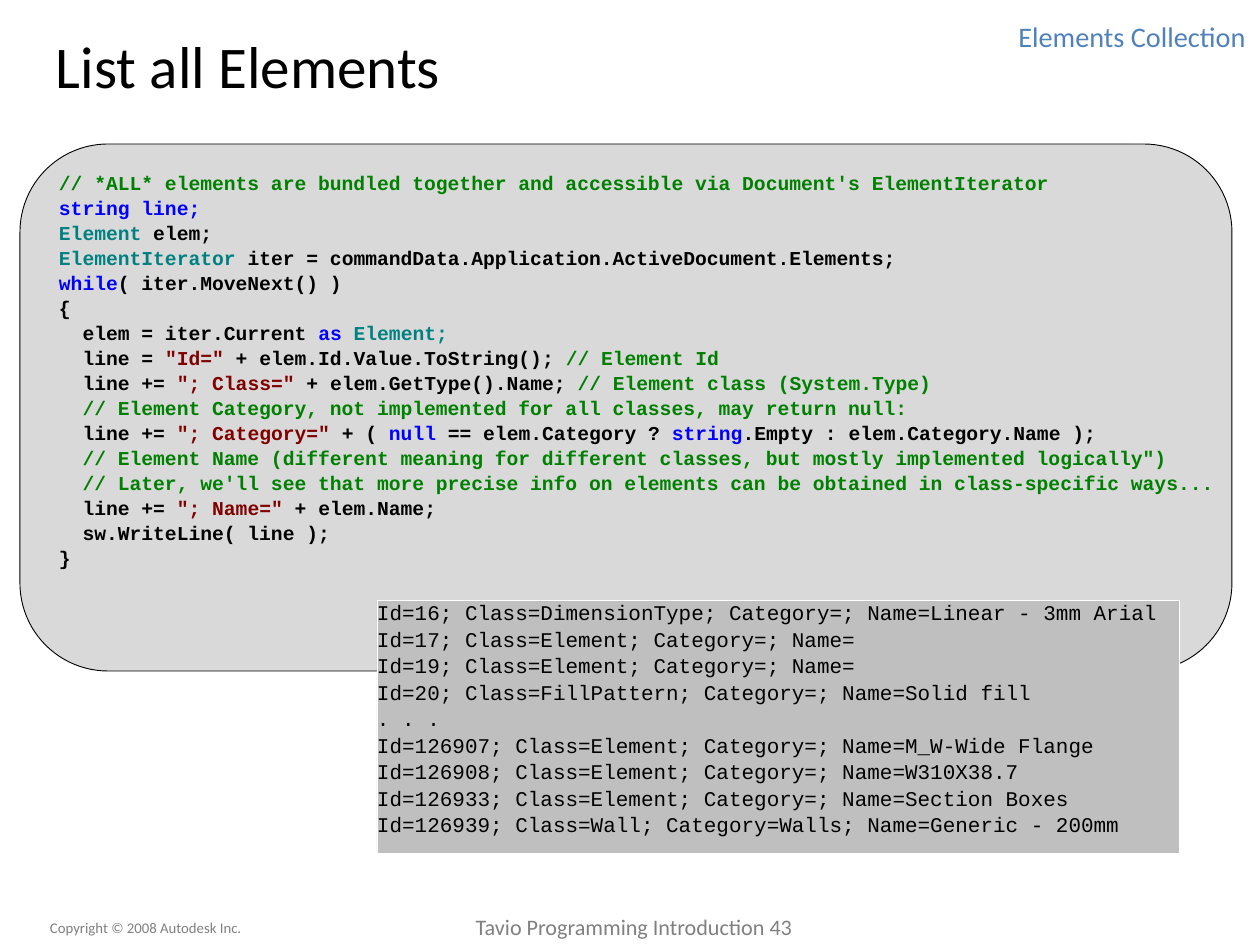
from pptx import Presentation
from pptx.dml.color import RGBColor
from pptx.enum.shapes import MSO_SHAPE
from pptx.enum.text import MSO_ANCHOR, MSO_AUTO_SIZE, PP_ALIGN
from pptx.util import Pt

PX = 10320  # EMU per px
ROUND, RECT = MSO_SHAPE.ROUNDED_RECTANGLE, MSO_SHAPE.RECTANGLE
TOP, MIDDLE = MSO_ANCHOR.TOP, MSO_ANCHOR.MIDDLE
LEFT, CENTER, RIGHT = PP_ALIGN.LEFT, PP_ALIGN.CENTER, PP_ALIGN.RIGHT
FIXED = MSO_AUTO_SIZE.NONE

THEME = {
    "sans": "Calibri", "mono": "Courier New",
    "title": 48, "topic": 23, "code": 16, "output": 17, "footer": 18, "legal": 12,
    "black": "000000", "white": "FFFFFF", "gray": "808080", "accent": "4F81BD",
    "panel": "D9D9D9", "result": "BFBFBF",
    "note": "008000", "key": "0000FF", "type": "008080", "text": "800000",
}


def color(name):
    return RGBColor.from_string(THEME[name])


def write(shape, lines, size, font="sans", align=LEFT, inset=(0, 0), bold=False,
          gap=0, anchor=TOP):
    """Fill a shape with lines, each a list of (color, text) runs."""
    frame = shape.text_frame
    frame.word_wrap, frame.auto_size, frame.vertical_anchor = True, FIXED, anchor
    frame.margin_left = frame.margin_right = inset[0] * PX
    frame.margin_top = frame.margin_bottom = inset[1] * PX
    for row, line in enumerate(lines):
        para = frame.add_paragraph() if row else frame.paragraphs[0]
        para.alignment = align
        if row:
            para.space_before = Pt(gap)
        for tint, text in line:
            run = para.add_run()
            run.text = text
            run.font.name, run.font.size = THEME[font], Pt(THEME[size])
            run.font.bold = bold
            run.font.color.rgb = color(tint)


deck = Presentation()
deck.slide_width, deck.slide_height = 1260 * PX, 945 * PX
slide = deck.slides.add_slide(deck.slide_layouts[5])
shapes = slide.shapes

# Title
title = shapes.title
title.left, title.top, title.width, title.height = [n * PX for n in (44, 19, 1092, 101)]
write(title, [[("black", "List all Elements")]], "title", inset=(12, 6), anchor=MIDDLE)
title.text_frame.paragraphs[0].line_spacing = 0.9

# Topic and footers
labels = [
    ((968, 19, 278, 35), "Elements Collection", "topic", "accent", RIGHT, (0, 0)),
    ((443, 909, 382, 36), "Tavio Programming Introduction 43", "footer", "gray", CENTER, (9, 4)),
    ((41, 915, 237, 27), "Copyright © 2008 Autodesk Inc.", "legal", "gray", LEFT, (9, 4)),
]
for place, text, size, tint, align, inset in labels:
    label = shapes.add_textbox(*[n * PX for n in place])
    write(label, [[(tint, text)]], size, align=align, inset=inset)

# Code panel and result box
panels = []
for kind, place, fill, edge in [
    (ROUND, (20, 144, 1212, 527), "panel", "black"),
    (RECT, (377, 600, 802, 253), "result", "white"),
]:
    panel = shapes.add_shape(kind, *[n * PX for n in place])
    panel.shadow.inherit = False
    panel.fill.solid()
    panel.fill.fore_color.rgb = color(fill)
    panel.line.color.rgb = color(edge)
    panel.line.width = Pt(0.75)
    panels.append(panel)
panels[0].adjustments[0] = 0.167

# Code listing
code = [
    [("note", "// *ALL* elements are bundled together and accessible via Document's ElementIterator")],
    [("key", "string line;")],
    [("type", "Element"), ("black", " elem;")],
    [("type", "ElementIterator"),
     ("black", " iter = commandData.Application.ActiveDocument.Elements;")],
    [("key", "while"), ("black", "( iter.MoveNext() )")],
    [("black", "{")],
    [("black", "  elem = iter.Current "), ("key", "as "), ("type", "Element;")],
    [("black", "  line = "), ("text", '"Id="'), ("black", " + elem.Id.Value.ToString(); "),
     ("note", "// Element Id")],
    [("black", "  line += "), ("text", '"; Class="'), ("black", " + elem.GetType().Name; "),
     ("note", "// Element class (System.Type)")],
    [("note", "  // Element Category, not implemented for all classes, may return null:")],
    [("black", "  line += "), ("text", '"; Category="'), ("black", " + ( "), ("key", "null"),
     ("black", " == elem.Category ? "), ("key", "string"),
     ("black", ".Empty : elem.Category.Name );")],
    [("note", "  // Element Name (different meaning for different classes, "
              'but mostly implemented logically")')],
    [("note", "  // Later, we'll see that more precise info on elements "
              "can be obtained in class-specific ways...")],
    [("black", "  line += "), ("text", '"; Name="'), ("black", " + elem.Name;")],
    [("black", "  sw.WriteLine( line );")],
    [("black", "}")],
]
listing = shapes.add_textbox(47 * PX, 165 * PX, 1213 * PX, 400 * PX)
write(listing, code, "code", "mono", inset=(12, 6), bold=True, gap=1.1)

# Result lines
output = [
    "Id=16; Class=DimensionType; Category=; Name=Linear - 3mm Arial",
    "Id=17; Class=Element; Category=; Name=",
    "Id=19; Class=Element; Category=; Name=",
    "Id=20; Class=FillPattern; Category=; Name=Solid fill",
    ". . .",
    "Id=126907; Class=Element; Category=; Name=M_W-Wide Flange",
    "Id=126908; Class=Element; Category=; Name=W310X38.7",
    "Id=126933; Class=Element; Category=; Name=Section Boxes",
    "Id=126939; Class=Wall; Category=Walls; Name=Generic - 200mm",
]
write(panels[1], [[("black", text)] for text in output], "output", "mono", gap=1.1)

deck.save("out.pptx")
